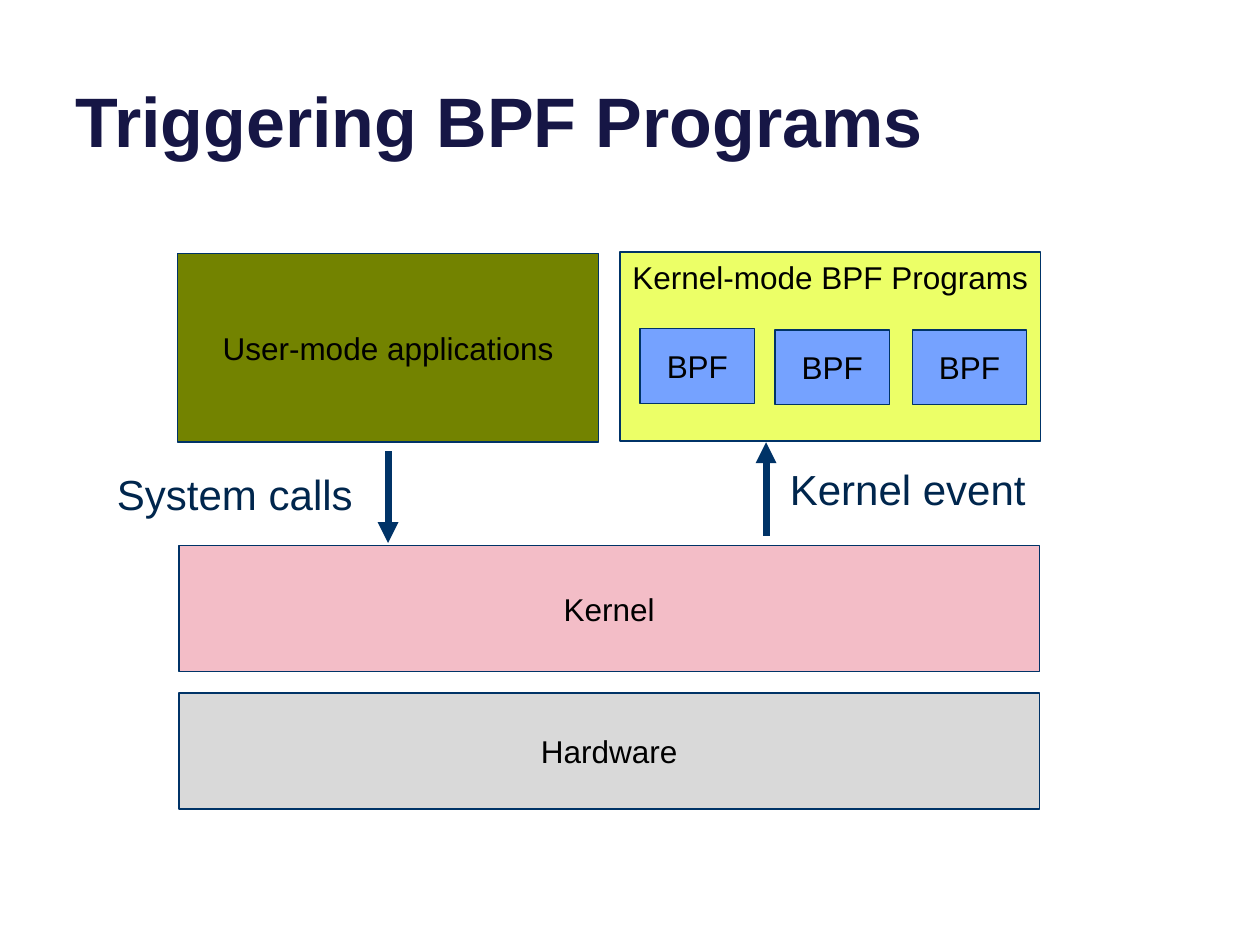
from dataclasses import dataclass

from lxml.etree import SubElement
from pptx import Presentation
from pptx.dml.color import RGBColor
from pptx.enum.shapes import MSO_CONNECTOR, MSO_SHAPE
from pptx.enum.text import MSO_ANCHOR as Anchor, MSO_AUTO_SIZE, PP_ALIGN as Align
from pptx.oxml.ns import qn
from pptx.util import Inches, Pt


@dataclass(frozen=True)
class Theme:
    font: str = "Arial"
    title_size: int = 40
    label_size: int = 24
    box_size: int = 18
    box_line: float = 0.75
    arrow_line: float = 4
    title: str = "161645"
    label: str = "00264D"
    box_text: str = "000000"
    line: str = "003367"
    user: str = "738300"
    kernel_mode: str = "ECFF67"
    program: str = "75A2FF"
    kernel: str = "F3BDC7"
    hardware: str = "D9D9D9"


THEME = Theme()


def place(shape, left, top, width, height):
    shape.left, shape.top = Inches(left), Inches(top)
    shape.width, shape.height = Inches(width), Inches(height)


def write(frame, text, size, color, align=Align.LEFT, bold=False):
    paragraph = frame.paragraphs[0]
    paragraph.alignment = align
    run = paragraph.add_run()
    run.text = text
    run.font.name = THEME.font
    run.font.size = Pt(size)
    run.font.bold = bold
    run.font.color.rgb = RGBColor.from_string(color)


def set_line(line, width):
    line.color.rgb = RGBColor.from_string(THEME.line)
    line.width = Pt(width)


def set_title(slide, text):
    title = slide.shapes.title
    place(title, 0.5, -0.37, 9, 1.7)
    frame = title.text_frame
    frame.word_wrap = True
    frame.auto_size = MSO_AUTO_SIZE.NONE
    frame.vertical_anchor = Anchor.BOTTOM
    write(frame, text, THEME.title_size, THEME.title, bold=True)


def add_box(slide, text, bounds, fill, anchor=Anchor.MIDDLE):
    box = slide.shapes.add_shape(MSO_SHAPE.RECTANGLE, *map(Inches, bounds))
    box.shadow.inherit = False
    box.fill.solid()
    box.fill.fore_color.rgb = RGBColor.from_string(fill)
    set_line(box.line, THEME.box_line)
    frame = box.text_frame
    frame.word_wrap = True
    frame.margin_left = frame.margin_right = Inches(0.05)
    frame.vertical_anchor = anchor
    write(frame, text, THEME.box_size, THEME.box_text, Align.CENTER)


def add_label(slide, text, left, top):
    label = slide.shapes.add_textbox(*map(Inches, (left, top, 2.09, 0.5)))
    frame = label.text_frame
    frame.word_wrap = False
    frame.auto_size = MSO_AUTO_SIZE.SHAPE_TO_FIT_TEXT
    write(frame, text, THEME.label_size, THEME.label)


def add_vertical_arrow(slide, x, start, end):
    arrow = slide.shapes.add_connector(
        MSO_CONNECTOR.STRAIGHT, *map(Inches, (x, start, x, end)))
    set_line(arrow.line, THEME.arrow_line)
    SubElement(arrow.line._get_or_add_ln(), qn("a:tailEnd"), type="triangle")
    SubElement(arrow._element.spPr, qn("a:effectLst"))


def main():
    presentation = Presentation()
    presentation.slide_width = Inches(10)
    presentation.slide_height = Inches(7.5)
    slide = presentation.slides.add_slide(presentation.slide_layouts[5])

    set_title(slide, "Triggering BPF Programs")
    add_box(slide, "Kernel", (1.42, 4.33, 6.83, 1), THEME.kernel)
    add_box(slide, "Hardware", (1.42, 5.5, 6.83, 0.92), THEME.hardware)
    add_box(slide, "User-mode applications", (1.41, 2.01, 3.34, 1.5), THEME.user)
    add_box(slide, "Kernel-mode BPF Programs", (4.92, 2, 3.34, 1.5),
            THEME.kernel_mode, Anchor.TOP)

    add_vertical_arrow(slide, 3.08, 3.58, 4.31)
    add_label(slide, "System calls", 0.83, 3.67)
    add_vertical_arrow(slide, 6.08, 4.25, 3.51)
    add_label(slide, "Kernel event", 6.17, 3.63)

    for left, top in ((5.08, 2.61), (6.15, 2.62), (7.24, 2.62)):
        add_box(slide, "BPF", (left, top, 0.91, 0.59), THEME.program)

    presentation.save("out.pptx")


if __name__ == "__main__":
    main()
